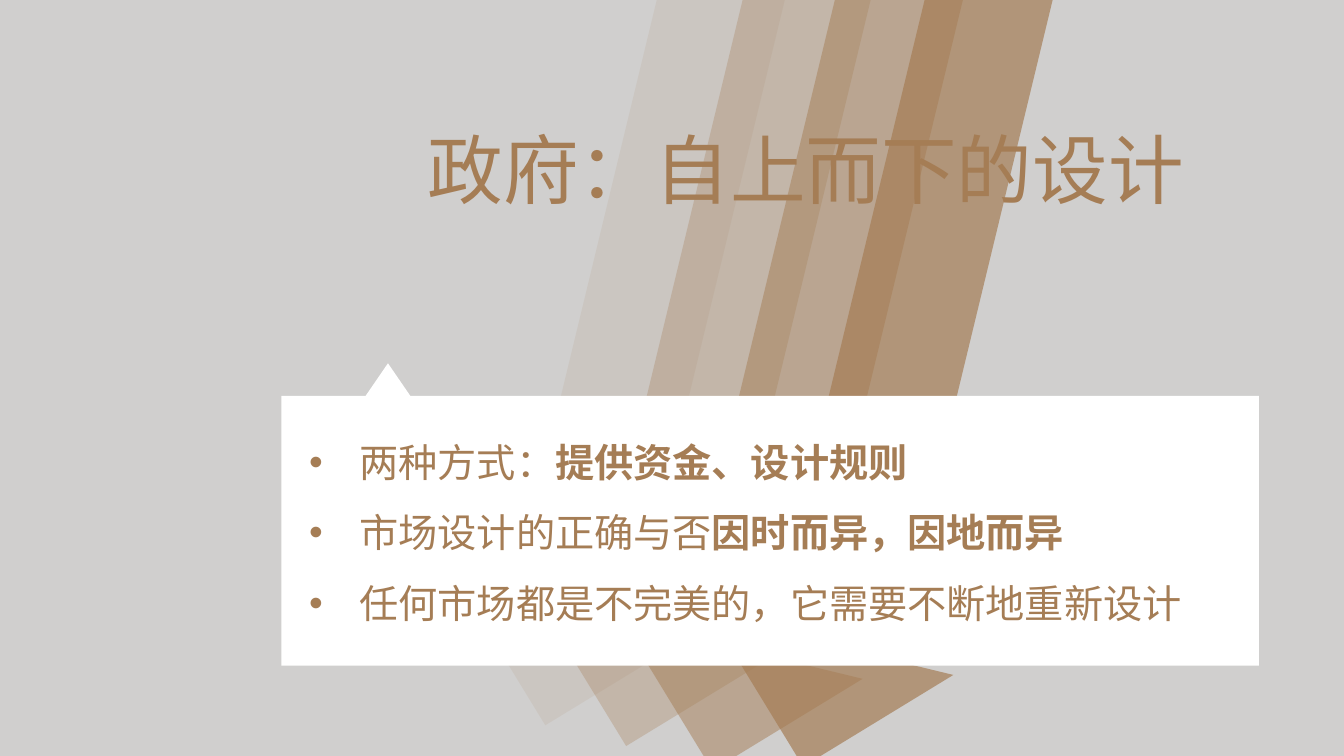
from dataclasses import dataclass

from lxml import etree
from pptx import Presentation
from pptx.dml.color import RGBColor
from pptx.enum.shapes import MSO_SHAPE
from pptx.enum.text import MSO_AUTO_SIZE
from pptx.oxml.ns import qn
from pptx.util import Pt

EMU_PER_PX = 9525
BLANK_LAYOUT = 6
RECTANGLE = MSO_SHAPE.RECTANGLE
TRIANGLE = MSO_SHAPE.ISOSCELES_TRIANGLE
UP_ARROW = MSO_SHAPE.UP_ARROW
GROW = MSO_AUTO_SIZE.SHAPE_TO_FIT_TEXT


@dataclass(frozen=True)
class Theme:
    """Hold the colours, font and type sizes of the slide."""
    background: str = "D0CFCE"
    bronze: str = "A57D55"
    card: str = "FFFFFF"
    font: str = "Noto Sans CJK SC"
    title_size: int = 54
    point_size: int = 28


THEME = Theme()
SLIDE_BOX = (0, 0, 1280, 720)
TITLE_BOX = (398, 112, 747, 97)
CARD_BOX = (268, 377, 931, 257)
TITLE = "政府：自上而下的设计"
POINTS = [
    [("两种方式：", False), ("提供资金、设计规则", True)],
    [("市场设计的正确与否", False), ("因时而异，因地而异", True)],
    [("任何市场都是不完美的，它需要不断地重新设计", False)],
]
ARROW_WIDTH = 237
ARROW_ROTATION = 193.6
ARROWS = [
    (487, -32, 733, 10),
    (566, -29, 750, 30),
    (654, -54, 799, 50),
    (738, -38, 779, 70),
]


def emu(*lengths):
    """Turn px lengths into EMU."""
    return [length * EMU_PER_PX for length in lengths]


def add_solid(slide, preset, box, color):
    """Add a flat preset shape without outline or shadow."""
    solid = slide.shapes.add_shape(preset, *emu(*box))
    solid.shadow.inherit = False
    solid.fill.solid()
    solid.fill.fore_color.rgb = RGBColor.from_string(color)
    solid.line.fill.background()
    return solid


def add_frame(slide, box, wrap):
    """Add a text box that grows with its text and return its frame."""
    frame = slide.shapes.add_textbox(*emu(*box)).text_frame
    for name, value in {"word_wrap": wrap, "auto_size": GROW}.items():
        setattr(frame, name, value)
    return frame


def add_run(paragraph, words, size, bold=False):
    """Add a bronze run in the theme font for Latin and Chinese text."""
    run = paragraph.add_run()
    run.text = words
    run.font.color.rgb = RGBColor.from_string(THEME.bronze)
    for name, value in {"name": THEME.font, "size": Pt(size), "bold": bold}.items():
        setattr(run.font, name, value)
    east_asian = etree.SubElement(run.font._element, qn("a:ea"))
    east_asian.set("typeface", THEME.font)


def add_bullet(paragraph, indent):
    """Give a paragraph a round bullet with a hanging indent in px."""
    properties = paragraph._p.get_or_add_pPr()
    hang = indent * EMU_PER_PX
    for name, value in {"marL": hang, "indent": -hang}.items():
        properties.set(name, str(value))
    etree.SubElement(properties, qn("a:buFont")).set("typeface", "Arial")
    etree.SubElement(properties, qn("a:buChar")).set("char", "•")


def draw_arrows(slide, box):
    """Draw the slanted arrows, each more opaque than the last."""
    left, top, _, _ = box
    for x, y, length, opacity in ARROWS:
        arrow_box = (left + x, top + y, ARROW_WIDTH, length)
        arrow = add_solid(slide, UP_ARROW, arrow_box, THEME.bronze)
        arrow.rotation = ARROW_ROTATION
        color = arrow.fill._xPr.find(".//" + qn("a:srgbClr"))
        etree.SubElement(color, qn("a:alpha")).set("val", str(opacity * 1000))


def draw_title(slide, box):
    """Write the slide title on one line."""
    frame = add_frame(slide, box, False)
    add_run(frame.paragraphs[0], TITLE, THEME.title_size)


def draw_card(slide, box):
    """Draw the white card with its pointer and bulleted points."""
    left, top, width, _ = box
    add_solid(slide, RECTANGLE, box, THEME.card)
    add_solid(slide, TRIANGLE, (left + 59, top - 31, 85, 62), THEME.card)
    frame = add_frame(slide, (left + 17, top + 13, width - 72, 213), True)
    for index, point in enumerate(POINTS):
        paragraph = frame.add_paragraph() if index else frame.paragraphs[0]
        paragraph.line_spacing = 1.5
        add_bullet(paragraph, 48)
        for words, bold in point:
            add_run(paragraph, words, THEME.point_size, bold)
        bullet_color = RGBColor.from_string(THEME.bronze)
        paragraph.font.color.rgb = bullet_color


def main():
    """Build the slide and save it."""
    deck = Presentation()
    deck.slide_width, deck.slide_height = emu(*SLIDE_BOX[2:])
    slide = deck.slides.add_slide(deck.slide_layouts[BLANK_LAYOUT])
    backdrop = slide.background.fill
    backdrop.solid()
    backdrop.fore_color.rgb = RGBColor.from_string(THEME.background)
    draw_arrows(slide, SLIDE_BOX)
    draw_title(slide, TITLE_BOX)
    draw_card(slide, CARD_BOX)
    deck.save("out.pptx")


if __name__ == "__main__":
    main()
